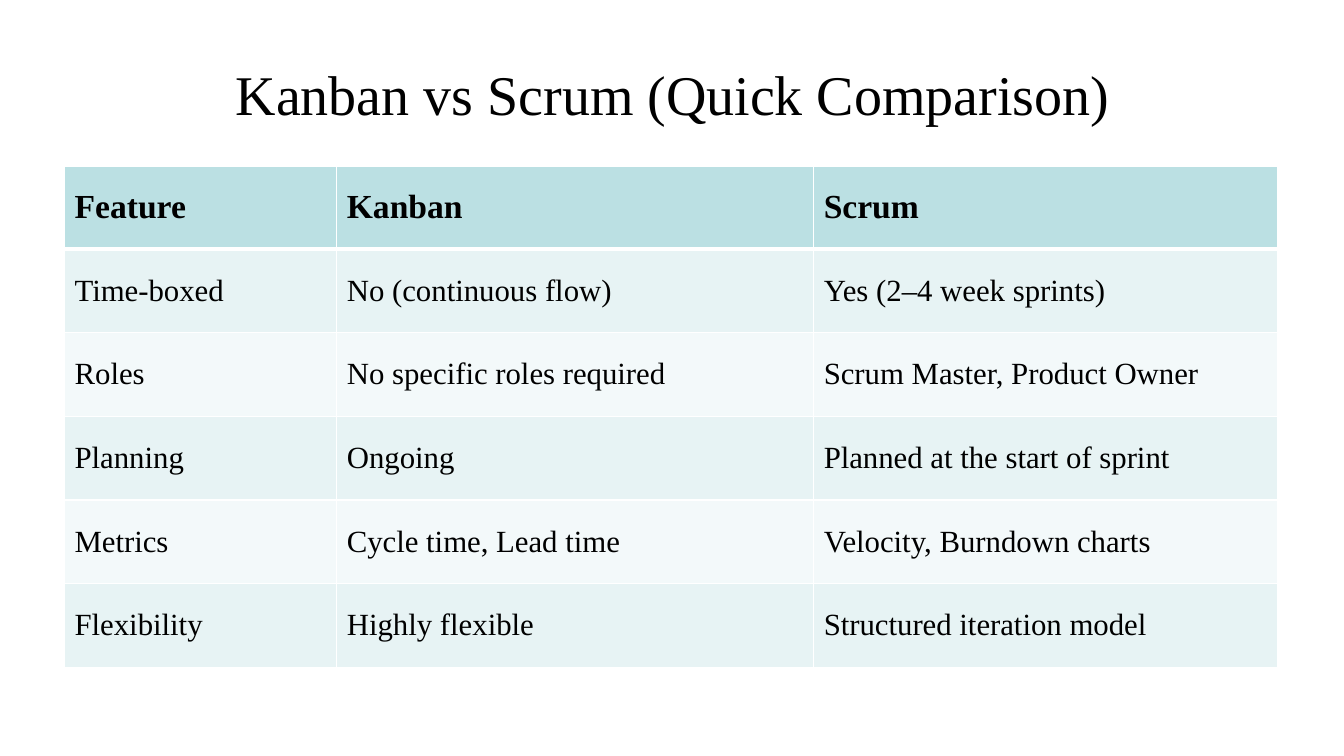
from dataclasses import dataclass

from lxml.etree import SubElement
from pptx import Presentation
from pptx.dml.color import RGBColor
from pptx.enum.text import MSO_ANCHOR, PP_ALIGN
from pptx.oxml.ns import qn
from pptx.slide import Slide
from pptx.table import _Cell
from pptx.text.text import TextFrame
from pptx.util import Inches, Pt

FONT = "Times New Roman"
BLACK, WHITE = "000000", "FFFFFF"
HEADER_FILL = "BBE0E3"
BAND_FILLS = ("E7F3F4", "F3F9FA")
THIN, THICK = 1, 3
COLUMN_WIDTHS = (2.7, 4.73, 4.6)
HEADER_HEIGHT, BODY_HEIGHT = 0.82, 0.83


@dataclass(frozen=True)
class Comparison:
    feature: str
    kanban: str
    scrum: str

    def texts(self) -> tuple[str, str, str]:
        return self.feature, self.kanban, self.scrum


COMPARISONS = (
    Comparison("Feature", "Kanban", "Scrum"),
    Comparison("Time-boxed", "No (continuous flow)", "Yes (2–4 week sprints)"),
    Comparison("Roles", "No specific roles required", "Scrum Master, Product Owner"),
    Comparison("Planning", "Ongoing", "Planned at the start of sprint"),
    Comparison("Metrics", "Cycle time, Lead time", "Velocity, Burndown charts"),
    Comparison("Flexibility", "Highly flexible", "Structured iteration model"),
)


def color(code: str) -> RGBColor:
    return RGBColor.from_string(code)


def write_text(frame: TextFrame, text: str, *, size: float, bold: bool = False,
               align: PP_ALIGN = PP_ALIGN.LEFT) -> None:
    para = frame.paragraphs[0]
    para.alignment = align
    span = para.add_run()
    span.text = text
    span.font.name = FONT
    span.font.size = Pt(size)
    span.font.bold = bold
    span.font.color.rgb = color(BLACK)


def set_borders(cell: _Cell, *, top: float, bottom: float) -> None:
    """Draw white cell edges; call before filling, as the schema puts edges first."""
    properties = cell._tc.get_or_add_tcPr()
    for tag, width in (("a:lnL", THIN), ("a:lnR", THIN), ("a:lnT", top), ("a:lnB", bottom)):
        edge = SubElement(properties, qn(tag), w=str(Pt(width)))
        SubElement(SubElement(edge, qn("a:solidFill")), qn("a:srgbClr"), val=WHITE)


def add_title(page: Slide, text: str) -> None:
    title = page.shapes.title
    title.left, title.top = Inches(0.67), Inches(0.3)
    title.width, title.height = Inches(12), Inches(1.25)
    title.text_frame.vertical_anchor = MSO_ANCHOR.MIDDLE
    write_text(title.text_frame, text, size=40, align=PP_ALIGN.CENTER)


def add_comparison_table(page: Slide, comparisons: tuple[Comparison, ...]) -> None:
    height = HEADER_HEIGHT + BODY_HEIGHT * (len(comparisons) - 1)
    table = page.shapes.add_table(
        len(comparisons), len(COLUMN_WIDTHS), Inches(0.64), Inches(1.65),
        Inches(sum(COLUMN_WIDTHS)), Inches(height)).table
    for column, width in zip(table.columns, COLUMN_WIDTHS):
        column.width = Inches(width)
    for index, (row, comparison) in enumerate(zip(table.rows, comparisons)):
        header = index == 0
        row.height = Inches(HEADER_HEIGHT if header else BODY_HEIGHT)
        for cell, text in zip(row.cells, comparison.texts()):
            set_borders(cell, top=THICK if index == 1 else THIN,
                        bottom=THICK if header else THIN)
            cell.fill.solid()
            cell.fill.fore_color.rgb = color(
                HEADER_FILL if header else BAND_FILLS[(index - 1) % 2])
            cell.vertical_anchor = MSO_ANCHOR.MIDDLE
            write_text(cell.text_frame, text, size=24 if header else 22, bold=header)


def main() -> None:
    deck = Presentation()
    deck.slide_width, deck.slide_height = Inches(13.33), Inches(7.5)
    page = deck.slides.add_slide(deck.slide_layouts[5])
    add_title(page, "Kanban vs Scrum (Quick Comparison)")
    add_comparison_table(page, COMPARISONS)
    deck.save("out.pptx")


if __name__ == "__main__":
    main()
